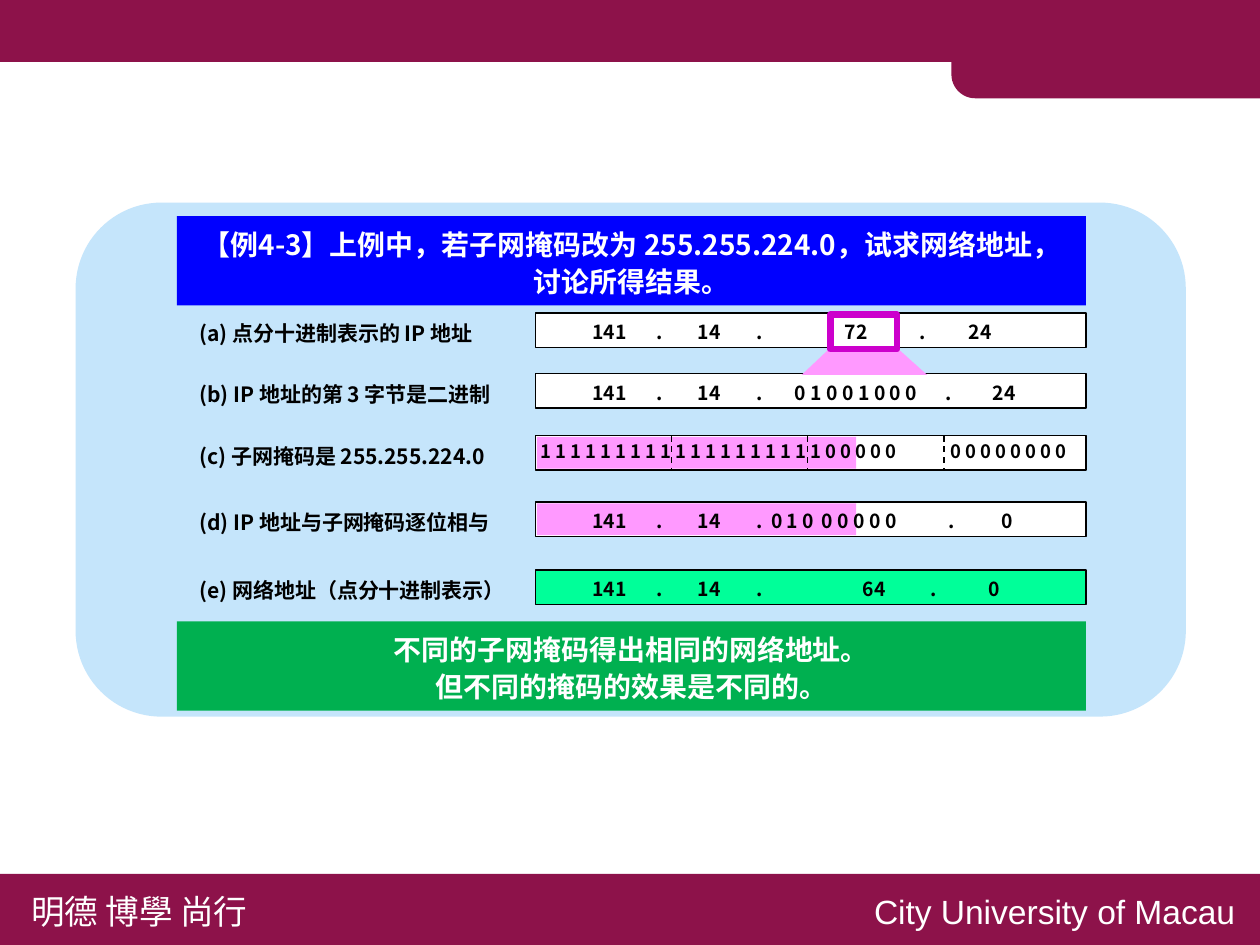
from dataclasses import dataclass

from lxml import etree
from pptx import Presentation
from pptx.dml.color import RGBColor
from pptx.enum.dml import MSO_LINE
from pptx.enum.shapes import MSO_CONNECTOR, MSO_SHAPE as Shape
from pptx.enum.text import MSO_ANCHOR as Anchor, MSO_AUTO_SIZE, PP_ALIGN as Align
from pptx.oxml.ns import qn
from pptx.util import Inches, Pt

MAROON = RGBColor(0x8D, 0x12, 0x4A)
PALE_BLUE = RGBColor(0xC5, 0xE5, 0xFB)
BLUE = RGBColor(0x00, 0x00, 0xFF)
GREEN = RGBColor(0x00, 0xB0, 0x50)
MINT = RGBColor(0x00, 0xFF, 0x99)
PINK = RGBColor(0xFF, 0x99, 0xFF)
MAGENTA = RGBColor(0xCC, 0x00, 0xCC)
BLACK = RGBColor(0x00, 0x00, 0x00)
WHITE = RGBColor(0xFF, 0xFF, 0xFF)

CJK = "Noto Sans CJK SC"
SLIDE_WIDTH, SLIDE_HEIGHT = 8.33, 6.25
ROW_HEIGHT = 0.23
OCTET_WIDTH = 0.9
MASK_WIDTH = 2.11
# The first two octets and their dots stand in the same columns in every row
PREFIX = [(4.03, "141"), (4.36, "."), (4.69, "14"), (5.02, ".")]


@dataclass
class AddressRow:
    top: float
    label: str
    label_width: float
    tokens: list  # (centre x, text)
    fill: RGBColor = WHITE
    masked: bool = False
    size: float = 9.2
    text_shift: float = 0.01


ROWS = [
    AddressRow(2.07, "(a) 点分十进制表示的 IP 地址", 2.02,
               PREFIX + [(5.66, "72"), (6.1, "."), (6.48, "24")]),
    AddressRow(2.47, "(b) IP 地址的第 3 字节是二进制", 2.17,
               PREFIX + [(5.66, "0 1 0 0 1 0 0 0"), (6.27, "."), (6.64, "24")]),
    AddressRow(2.88, "(c) 子网掩码是 255.255.224.0", 2.11,
               [(4.75, "1 1 1 1 1 1 1 1 1 1 1 1 1 1 1 1 1 1 1 0 0 0 0 0"),
                (6.67, "0 0 0 0 0 0 0 0")],
               masked=True, size=8.8, text_shift=-0.01),
    AddressRow(3.32, "(d) IP 地址与子网掩码逐位相与", 2.14,
               PREFIX + [(5.24, "0 1 0"), (5.68, "0 0 0 0 0"), (6.29, "."), (6.66, "0")],
               masked=True),
    AddressRow(3.77, "(e) 网络地址（点分十进制表示）", 2.22,
               PREFIX + [(5.78, "64"), (6.17, "."), (6.57, "0")], fill=MINT),
]


def write_text(shape, lines, size, color, font=CJK, bold=True, align=Align.LEFT,
               spacing=1.0, **frame_format):
    frame = shape.text_frame
    settings = {"auto_size": MSO_AUTO_SIZE.NONE, "word_wrap": True,
                "vertical_anchor": Anchor.MIDDLE, **frame_format}
    for name, value in settings.items():
        setattr(frame, name, value)
    for index, line in enumerate(lines):
        paragraph = frame.add_paragraph() if index else frame.paragraphs[0]
        paragraph.alignment = align
        paragraph.line_spacing = spacing
        run = paragraph.add_run()
        run.text = line
        for name, value in {"name": font, "size": Pt(size), "bold": bold}.items():
            setattr(run.font, name, value)
        run.font.color.rgb = color
        # East Asian characters take their font from a separate element
        east_asian = etree.SubElement(run._r.get_or_add_rPr(), qn("a:ea"))
        east_asian.set("typeface", font)


def style_shape(shape, fill=None, line=None, line_width=0.75):
    shape.shadow.inherit = False
    if fill is None:
        shape.fill.background()
    else:
        shape.fill.solid()
        shape.fill.fore_color.rgb = fill
    if line is None:
        shape.line.fill.background()
    else:
        shape.line.color.rgb = line
        shape.line.width = Pt(line_width)
    return shape


def add_box(slide, box, kind=Shape.RECTANGLE, **style):
    shape = slide.shapes.add_shape(kind, *map(Inches, box))
    return style_shape(shape, **style)


def add_text(slide, box, text, size, color, **options):
    shape = slide.shapes.add_textbox(*map(Inches, box))
    write_text(shape, [text], size, color, **options)


def add_frame(slide):
    # Header bar with its rounded tab
    add_box(slide, (0, 0, SLIDE_WIDTH, 0.41), fill=MAROON)
    tab = add_box(slide, (6.29, 0.02, SLIDE_WIDTH - 6.29, 0.63),
                  Shape.ROUND_1_RECTANGLE, fill=MAROON)
    tab.adjustments[0] = 0.25
    tab.rotation = 180
    # Footer bar with motto and university
    add_box(slide, (0, 5.78, SLIDE_WIDTH, SLIDE_HEIGHT - 5.78), fill=MAROON)
    for left, width, text, font in [(0.11, 1.68, "明德 博學 尚行", CJK),
                                    (5.68, 2.62, "City University of Macau", "Arial")]:
        add_text(slide, (left, 5.84, width, 0.37), text, 16, WHITE,
                 font=font, bold=False, word_wrap=False)


def add_banners(slide, box):
    left, top, width, height = box
    banner_left, banner_width, banner_height = left + 0.67, 6.01, 0.59
    panel = add_box(slide, box, Shape.ROUNDED_RECTANGLE, fill=PALE_BLUE)
    panel.adjustments[0] = 0.167

    # Question: the title placeholder, brought in front of the panel
    title = slide.shapes.title
    title.element.getparent().append(title.element)
    bounds = {"left": banner_left, "top": top + 0.09,
              "width": banner_width, "height": banner_height}
    for name, value in bounds.items():
        setattr(title, name, Inches(value))
    title.fill.solid()
    title.fill.fore_color.rgb = BLUE
    banner_text = {"size": 13.3, "color": WHITE, "align": Align.CENTER, "spacing": 1.1}
    write_text(title, ["【例4-3】上例中，若子网掩码改为 255.255.224.0，试求网络地址，讨论所得结果。"],
               **banner_text)

    # Conclusion
    conclusion = add_box(slide, (banner_left, top + height - 0.63, banner_width, banner_height),
                         fill=GREEN)
    write_text(conclusion, ["不同的子网掩码得出相同的网络地址。", "但不同的掩码的效果是不同的。"],
               **banner_text)


def add_address_bar(slide, row, left, width):
    add_box(slide, (left, row.top, width, ROW_HEIGHT), fill=row.fill, line=BLACK)
    if row.masked:
        add_box(slide, (left + 0.01, row.top + 0.01, MASK_WIDTH, ROW_HEIGHT - 0.02), fill=PINK)


def add_octet_lines(slide, left, top):
    for octet in range(1, 4):
        x = Inches(left + octet * OCTET_WIDTH)
        line = slide.shapes.add_connector(MSO_CONNECTOR.STRAIGHT, x, Inches(top),
                                          x, Inches(top + ROW_HEIGHT))
        line.line.color.rgb = BLACK
        line.line.width = Pt(0.75)
        line.line.dash_style = MSO_LINE.DASH
        etree.SubElement(line._element.spPr, qn("a:effectLst"))


def add_third_octet_zoom(slide, top, bottom):
    # Beam from the decimal octet down to its binary form
    builder = slide.shapes.build_freeform(Inches(5.49), Inches(top))
    corners = [(5.93, top), (6.13, bottom), (5.3, bottom)]
    builder.add_line_segments([(Inches(x), Inches(y)) for x, y in corners], close=True)
    style_shape(builder.convert_to_shape(), fill=PINK)
    add_box(slide, (5.49, top - ROW_HEIGHT + 0.01, 0.44, ROW_HEIGHT), line=MAGENTA, line_width=3)


def add_row_text(slide, row, label_left):
    add_text(slide, (label_left, row.top + 0.01, row.label_width, 0.25), row.label, 10, BLACK,
             vertical_anchor=Anchor.TOP, margin_left=Inches(0.08), margin_right=Inches(0.08),
             margin_top=Inches(0.04), margin_bottom=Inches(0.04))
    for center, text in row.tokens:
        token_width = 0.1 + 0.06 * len(text)
        add_text(slide, (center - token_width / 2, row.top + row.text_shift,
                         token_width, ROW_HEIGHT),
                 text, row.size, BLACK, align=Align.CENTER, word_wrap=False,
                 margin_left=0, margin_right=0, margin_top=0, margin_bottom=0)


def add_address_rows(slide, label_left, bar_left, bar_width):
    for row in ROWS:
        add_address_bar(slide, row, bar_left, bar_width)
    add_octet_lines(slide, bar_left, ROWS[2].top)
    add_third_octet_zoom(slide, ROWS[0].top + ROW_HEIGHT, ROWS[1].top + 0.01)
    for row in ROWS:
        add_row_text(slide, row, label_left)


def main():
    presentation = Presentation()
    presentation.slide_width = Inches(SLIDE_WIDTH)
    presentation.slide_height = Inches(SLIDE_HEIGHT)
    slide = presentation.slides.add_slide(presentation.slide_layouts[5])
    add_frame(slide)
    add_banners(slide, (0.5, 1.34, 7.34, 3.4))
    add_address_rows(slide, label_left=1.24, bar_left=3.54, bar_width=3.64)
    presentation.save("out.pptx")


if __name__ == "__main__":
    main()
